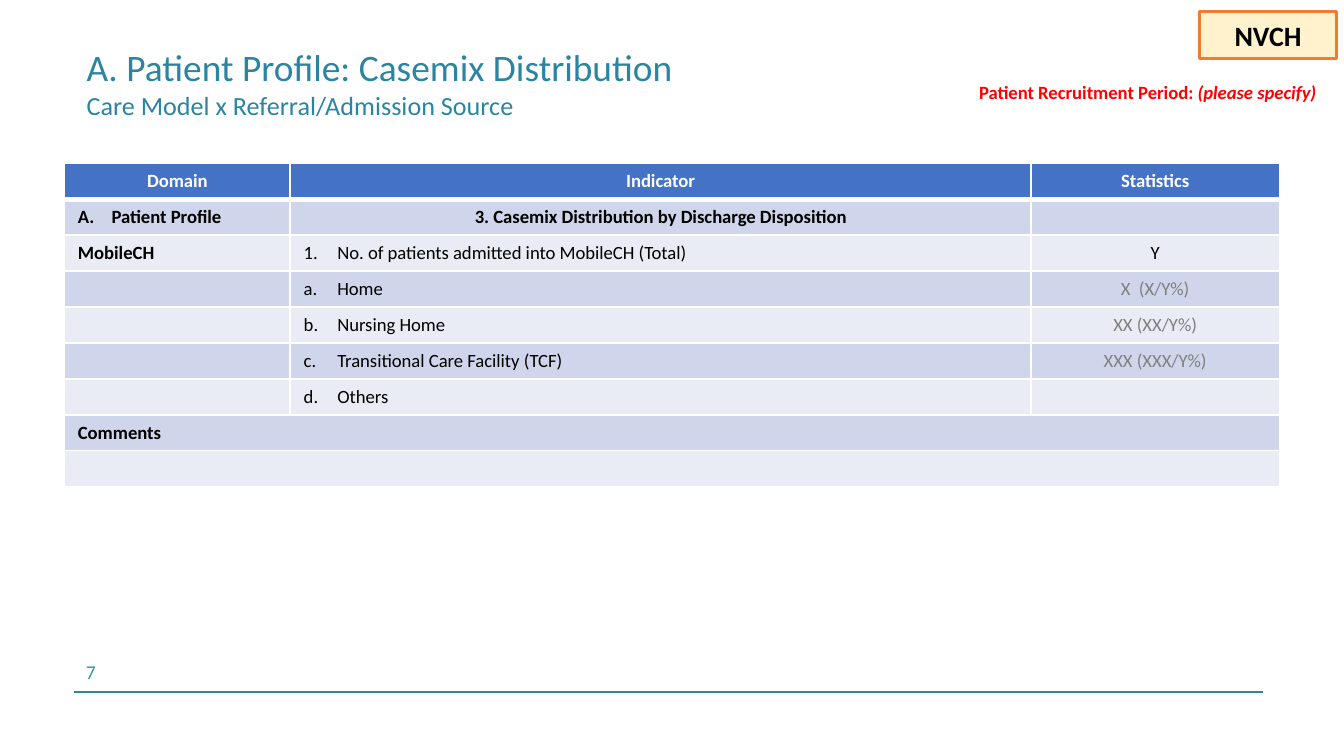
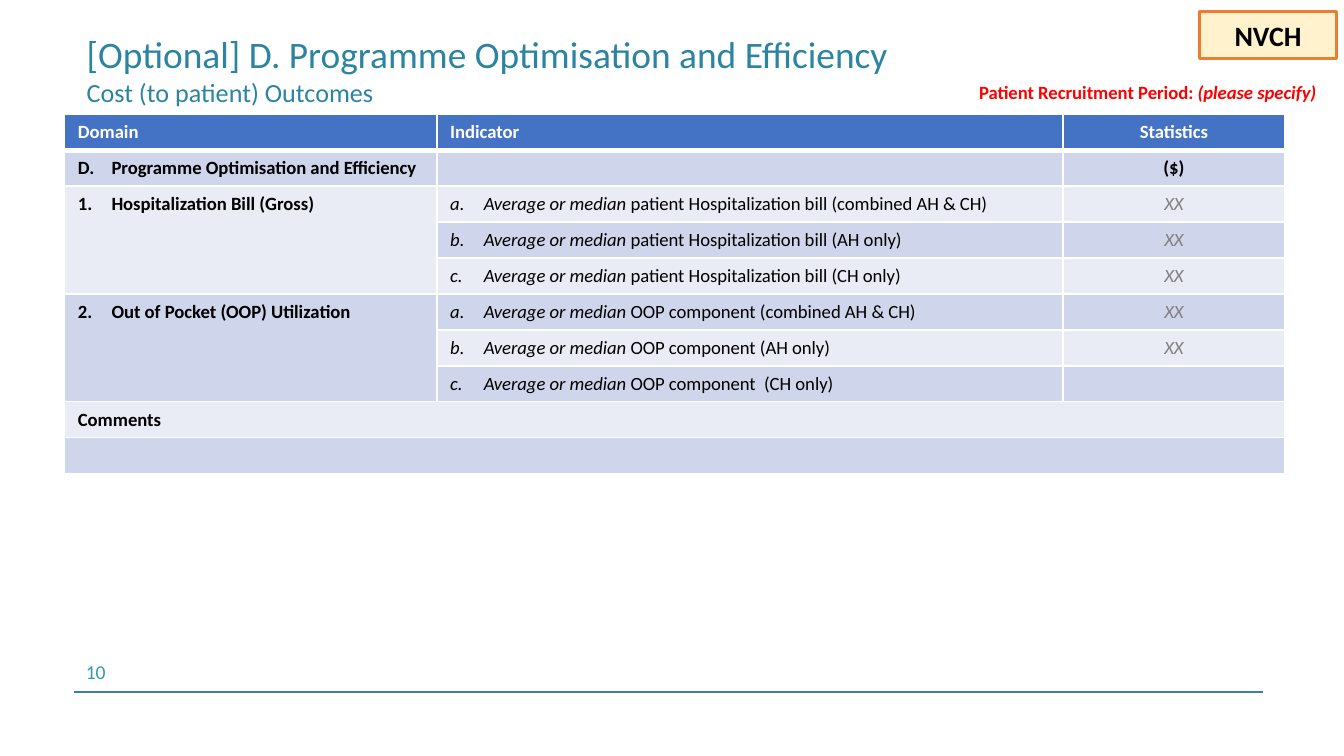
from lxml import etree
from pptx import Presentation
from pptx.dml.color import RGBColor
from pptx.enum.shapes import MSO_CONNECTOR, MSO_SHAPE
from pptx.enum.text import MSO_ANCHOR, PP_ALIGN
from pptx.oxml.ns import qn
from pptx.util import Pt

PX = 4572  # 200 px to the inch
LEFT, CENTER = PP_ALIGN.LEFT, PP_ALIGN.CENTER
MIDDLE = MSO_ANCHOR.MIDDLE
RECTANGLE, STRAIGHT = MSO_SHAPE.RECTANGLE, MSO_CONNECTOR.STRAIGHT

FONT = "Calibri"
WHITE, BLACK, GREY, RED = "FFFFFF", "000000", "808080", "FF0000"
TITLE_TEAL, NUMBER_TEAL, LINE_TEAL = "2B84A1", "3596B0", "31859C"
HEADER_BLUE, BANDS = "4472C4", ("CFD5EA", "E9EBF5")
BADGE_FILL, BADGE_LINE = "FFF2CC", "ED7D31"
ROW_HEIGHT = 53
LIST_INDENT = 50
ITALIC_LEAD = "Average or median "

# A tab separates an automatic list marker from the text of a cell.
PAGES = [
    {
        "number": "7",
        "title": ("A. Patient Profile: Casemix Distribution",
                  "Care Model x Referral/Admission Source"),
        "title_height": 164,
        "table_top": 243,
        "columns": (336, 1102, 370),
        "header_align": CENTER,
        "merges": [(7, 0, 7, 2), (8, 0, 8, 2)],
        "rows": [
            ("Domain", "Indicator", "Statistics"),
            ("A.\tPatient Profile", "3. Casemix Distribution by Discharge Disposition", ""),
            ("MobileCH", "1.\tNo. of patients admitted into MobileCH (Total)", "Y"),
            ("", "a.\tHome", "X  (X/Y%)"),
            ("", "b.\tNursing Home", "XX (XX/Y%)"),
            ("", "c.\tTransitional Care Facility (TCF)", "XXX (XXX/Y%)"),
            ("", "d.\tOthers", ""),
            ("Comments", "", ""),
            ("", "", ""),
        ],
    },
    {
        "number": "10",
        "title": ("[Optional] D. Programme Optimisation and Efficiency",
                  "Cost (to patient) Outcomes"),
        "title_height": 124,
        "table_top": 170,
        "columns": (554, 932, 330),
        "header_align": LEFT,
        "merges": [(2, 0, 4, 0), (5, 0, 7, 0), (8, 0, 8, 2), (9, 0, 9, 2)],
        "rows": [
            ("Domain", "Indicator", "Statistics"),
            ("D.\tProgramme Optimisation and Efficiency", "", "($)"),
            ("1.\tHospitalization Bill (Gross)",
             "a.\tAverage or median patient Hospitalization bill (combined AH & CH)", "XX"),
            ("", "b.\tAverage or median patient Hospitalization bill (AH only)", "XX"),
            ("", "c.\tAverage or median patient Hospitalization bill (CH only)", "XX"),
            ("2.\tOut of Pocket (OOP) Utilization",
             "a.\tAverage or median OOP component (combined AH & CH)", "XX"),
            ("", "b.\tAverage or median OOP component (AH only)", "XX"),
            ("", "c.\tAverage or median OOP component  (CH only)", ""),
            ("Comments", "", ""),
            ("", "", ""),
        ],
    },
]


def rgb(value):
    return RGBColor.from_string(value)


def write(paragraph, size, color, *parts, bold=False, align=LEFT):
    """Add (text, italic) parts as runs that share one paragraph font."""
    paragraph.alignment = align
    font = paragraph.font
    font.name, font.size, font.bold = FONT, Pt(size), bold
    font.color.rgb = rgb(color)
    for text, italic in parts:
        run = paragraph.add_run()
        run.text = text
        if italic:
            run.font.italic = True


prs = Presentation()
prs.slide_width, prs.slide_height = 2000 * PX, 1125 * PX

for page in PAGES:
    slide = prs.slides.add_slide(prs.slide_layouts[6])
    shapes = slide.shapes

    # Footer
    number = shapes.add_textbox(108 * PX, 972 * PX, 238 * PX, 56 * PX).text_frame
    number.word_wrap = True
    write(number.paragraphs[0], 10.5, NUMBER_TEAL, (page["number"], False))
    footer_line = shapes.add_connector(STRAIGHT, 1880 * PX, 1030 * PX, 110 * PX, 1030 * PX)
    footer_line.line.color.rgb = rgb(LINE_TEAL)
    footer_line.line.width = Pt(1)
    etree.SubElement(footer_line._element.spPr, qn("a:effectLst"))

    # Recruitment period and institution badge
    period = shapes.add_shape(RECTANGLE, 1434 * PX, 110 * PX, 554 * PX, 54 * PX)
    badge = shapes.add_shape(RECTANGLE, 1785 * PX, 17 * PX, 204 * PX, 70 * PX)
    for label, fill in ((period, WHITE), (badge, BADGE_FILL)):
        label.shadow.inherit = False
        label.fill.solid()
        label.fill.fore_color.rgb = rgb(fill)
        label.text_frame.word_wrap = True
    period.line.fill.background()
    badge.line.color.rgb = rgb(BADGE_LINE)
    badge.line.width = Pt(1.5)
    write(period.text_frame.paragraphs[0], 10, RED, ("Patient Recruitment Period: ", False),
          ("(please specify) ", True), bold=True, align=CENTER)
    write(badge.text_frame.paragraphs[0], 15, BLACK, ("NVCH", False), bold=True, align=CENTER)

    # Title and subtitle
    heading = shapes.add_textbox(113 * PX, 41 * PX, 1340 * PX, page["title_height"] * PX).text_frame
    heading.word_wrap = True
    heading.vertical_anchor = MIDDLE
    heading.margin_left = heading.margin_right = 16 * PX
    heading.margin_top = heading.margin_bottom = 8 * PX
    title, subtitle = page["title"]
    title_lines = heading.paragraphs[0]
    write(title_lines, 20, TITLE_TEAL, (title, False))
    title_lines.add_line_break()
    subtitle_run = title_lines.add_run()
    subtitle_run.text = subtitle
    subtitle_run.font.size = Pt(14)

    # Indicator table
    rows, columns = page["rows"], page["columns"]
    table = shapes.add_table(len(rows), len(columns), 96 * PX, page["table_top"] * PX,
                             sum(columns) * PX, len(rows) * ROW_HEIGHT * PX).table
    for column, width in zip(table.columns, columns):
        column.width = width * PX
    for top, left, bottom, right in page["merges"]:
        table.cell(top, left).merge(table.cell(bottom, right))

    for r, row in enumerate(rows):
        for c, content in enumerate(row):
            cell = table.cell(r, c)
            paragraph = cell.text_frame.paragraphs[0]
            if not cell.is_spanned:
                properties = cell._tc.get_or_add_tcPr()
                for side in ("lnL", "lnR", "lnT", "lnB"):
                    below_header = (r, side) in ((0, "lnB"), (1, "lnT"))
                    border = etree.SubElement(properties, qn(f"a:{side}"),
                                              w=str(Pt(3 if below_header else 1)))
                    border_fill = etree.SubElement(border, qn("a:solidFill"))
                    etree.SubElement(border_fill, qn("a:srgbClr"), val=WHITE)
            cell.fill.solid()
            cell.fill.fore_color.rgb = rgb(HEADER_BLUE if r == 0 else BANDS[(r - 1) % 2])
            if not content:
                paragraph._p.get_or_add_endParaRPr().set("sz", "1000")
                continue
            if not cell.is_merge_origin:
                cell.vertical_anchor = MIDDLE

            marker, _, text = content.rpartition("\t")
            if text.startswith(ITALIC_LEAD):
                parts = [(ITALIC_LEAD, True), (text.removeprefix(ITALIC_LEAD), False)]
            else:
                parts = [(text, text == "XX")]
            color = WHITE if r == 0 else GREY if text.startswith("X") else BLACK
            if c == 2 or (r == 1 and not marker):
                align = CENTER
            else:
                align = page["header_align"] if r == 0 else LEFT
            write(paragraph, 10, color, *parts, bold=c == 0 or r < 2, align=align)

            if marker:
                key = marker[0]
                if key.isdigit():
                    scheme, start = "arabicPeriod", int(key)
                else:
                    scheme = "alphaUcPeriod" if key.isupper() else "alphaLcPeriod"
                    start = ord(key.lower()) - ord("a") + 1
                list_format = paragraph._p.get_or_add_pPr()
                list_format.set("marL", str(LIST_INDENT * PX))
                list_format.set("indent", str(-LIST_INDENT * PX))
                numbering = etree.Element(qn("a:buAutoNum"), type=scheme, startAt=str(start))
                list_format.find(qn("a:defRPr")).addprevious(numbering)

prs.save("out.pptx")
